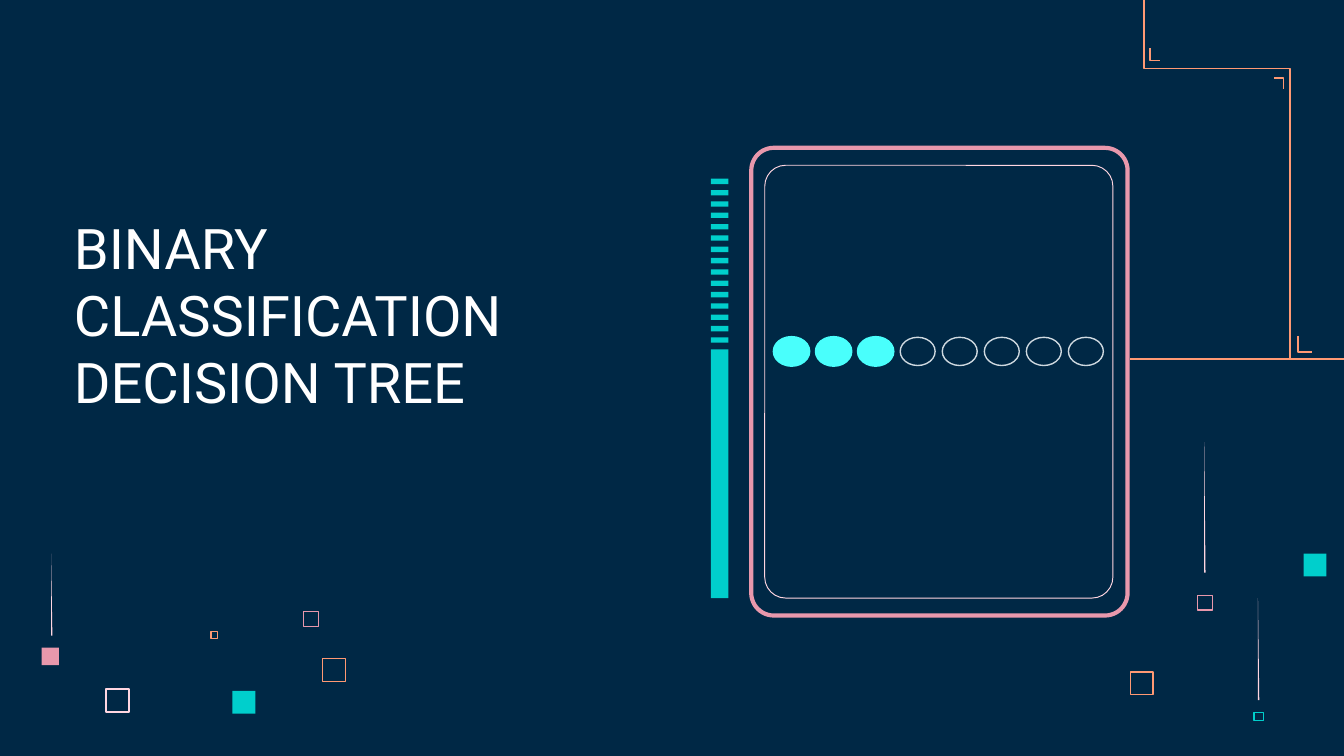
from typing import NamedTuple, Optional

import pptx
import pptx.dml.color
import pptx.enum.shapes
import pptx.enum.text
import pptx.util
from lxml import etree

Inches = pptx.util.Inches
RGBColor = pptx.dml.color.RGBColor
KIND = pptx.enum.shapes.MSO_SHAPE

NAVY = RGBColor(0x00, 0x28, 0x45)
WHITE = RGBColor(0xFF, 0xFF, 0xFF)
BLUSH = RGBColor(0xFF, 0xD6, 0xE1)
PINK = RGBColor(0xE8, 0x98, 0xAC)
ORANGE = RGBColor(0xFF, 0x99, 0x73)
TEAL = RGBColor(0x00, 0xCF, 0xCC)
CYAN = RGBColor(0x49, 0xFF, 0xFC)
GREY = RGBColor(0xCF, 0xD9, 0xE0)
TRACE = 1


class Box(NamedTuple):
    left: float
    top: float
    width: float
    height: float
    fill: Optional[RGBColor] = None
    line: Optional[RGBColor] = None
    weight: float = 0.75


def paint(shape, fill, line, weight: float) -> None:
    shape.shadow.inherit = False
    if fill is None:
        shape.fill.background()
    else:
        shape.fill.solid()
        shape.fill.fore_color.rgb = fill
    if line is None:
        shape.line.fill.background()
    else:
        shape.line.color.rgb = line
        shape.line.width = pptx.util.Pt(weight)


def draw(shapes, box: Box, kind=KIND.RECTANGLE):
    shape = shapes.add_shape(kind, *(Inches(n) for n in box[:4]))
    paint(shape, box.fill, box.line, box.weight)
    return shape


def trace(shapes, points, fill=None, line=None) -> None:
    """Draw a path; a filled one is closed."""
    spots = [(Inches(x), Inches(y)) for x, y in points]
    path = shapes.build_freeform(*spots[0])
    path.add_line_segments(spots[1:], close=fill is not None)
    paint(path.convert_to_shape(), fill, line, TRACE)


def wire(shapes, x1: float, y1: float, x2: float, y2: float) -> None:
    line = shapes.add_connector(
        pptx.enum.shapes.MSO_CONNECTOR.STRAIGHT,
        *(Inches(n) for n in (x1, y1, x2, y2)))
    line.line.color.rgb = ORANGE
    line.line.width = pptx.util.Pt(TRACE)
    props = line._element.spPr
    etree.SubElement(props, pptx.oxml.ns.qn("a:effectLst"))


# Loose squares
SQUARES = [
    Box(0.79, 5.13, 0.17, 0.17, line=BLUSH, weight=1),
    Box(2.26, 4.55, 0.11, 0.11, line=PINK),
    Box(1.57, 4.7, 0.05, 0.05, line=ORANGE),
    Box(2.4, 4.9, 0.17, 0.17, line=ORANGE),
    Box(1.73, 5.14, 0.17, 0.17, TEAL),
    Box(8.91, 4.43, 0.11, 0.11, line=PINK),
    Box(0.31, 4.82, 0.13, 0.13, PINK),
    Box(9.33, 5.3, 0.07, 0.06, line=TEAL),
    Box(8.41, 5, 0.17, 0.17, line=ORANGE),
    Box(9.7, 4.12, 0.17, 0.17, TEAL),
]

# Tapering trails: left, top, bottom
TRAILS = [(8.96, 3.29, 4.26), (0.38, 4.12, 4.73), (9.36, 4.45, 5.21)]

# Circuit path and its corner marks
PATHS = [
    [(8.51, 0), (8.51, 0.51), (9.6, 0.51), (9.6, 2.67)],
    [(9.66, 2.5), (9.66, 2.62), (9.76, 2.62)],
    [(9.48, 0.58), (9.55, 0.58), (9.55, 0.66)],
    [(8.56, 0.36), (8.56, 0.45), (8.63, 0.45)],
]

# Screen frames
FRAMES = [
    Box(5.59, 1.1, 2.8, 3.48, line=PINK, weight=2.25),
    Box(5.69, 1.23, 2.59, 3.22, line=BLUSH, weight=0.5),
]


def main() -> None:
    deck = pptx.Presentation()
    deck.slide_width = Inches(10)
    deck.slide_height = deck.slide_width * 9 // 16
    slide = deck.slides.add_slide(deck.slide_layouts[5])
    slide.background.fill.solid()
    slide.background.fill.fore_color.rgb = NAVY
    shapes = slide.shapes

    # Title
    title = shapes.title
    title.left, title.top = Inches(0.45), Inches(2.56)
    title.width, title.height = Inches(4.44), Inches(0.63)
    frame = title.text_frame
    frame.text = "BINARY CLASSIFICATION\vDECISION TREE"
    frame.word_wrap = True
    frame.auto_size = pptx.enum.text.MSO_AUTO_SIZE.NONE
    frame.vertical_anchor = pptx.enum.text.MSO_ANCHOR.BOTTOM
    frame.margin_left = frame.margin_right = Inches(0.1)
    frame.margin_top = frame.margin_bottom = Inches(0.1)
    text = frame.paragraphs[0]
    text.alignment = pptx.enum.text.PP_ALIGN.LEFT
    for run in text.runs:
        run.font.name = "Roboto"
        run.font.size = pptx.util.Pt(30)
        run.font.color.rgb = WHITE

    # Squares and trails
    for box in SQUARES:
        draw(shapes, box)
    for x, top, end in TRAILS:
        trace(shapes, [(x, top), (x, end), (x + 0.01, end)], fill=BLUSH)

    # Screen
    for box in FRAMES:
        draw(shapes, box, KIND.ROUNDED_RECTANGLE).adjustments[0] = 0.06

    # Level bar with its ticks
    for i in range(15):
        draw(shapes, Box(5.29, 1.33 + 1.18 * i / 14, 0.13, 0.04, TEAL))
    draw(shapes, Box(5.29, 2.6, 0.13, 1.85, TEAL))

    # Circuit lines
    wire(shapes, 8.41, 2.67, 10, 2.67)
    for path in PATHS:
        trace(shapes, path, line=ORANGE)

    # Progress dots, the first three lit
    for i in range(8):
        look = (CYAN, CYAN, 1.5) if i < 3 else (None, GREY, 0.75)
        left = 5.76 + 2.19 * i / 7
        draw(shapes, Box(left, 2.51, 0.26, 0.21, *look), KIND.OVAL)

    deck.save("out.pptx")


if __name__ == "__main__":
    main()
